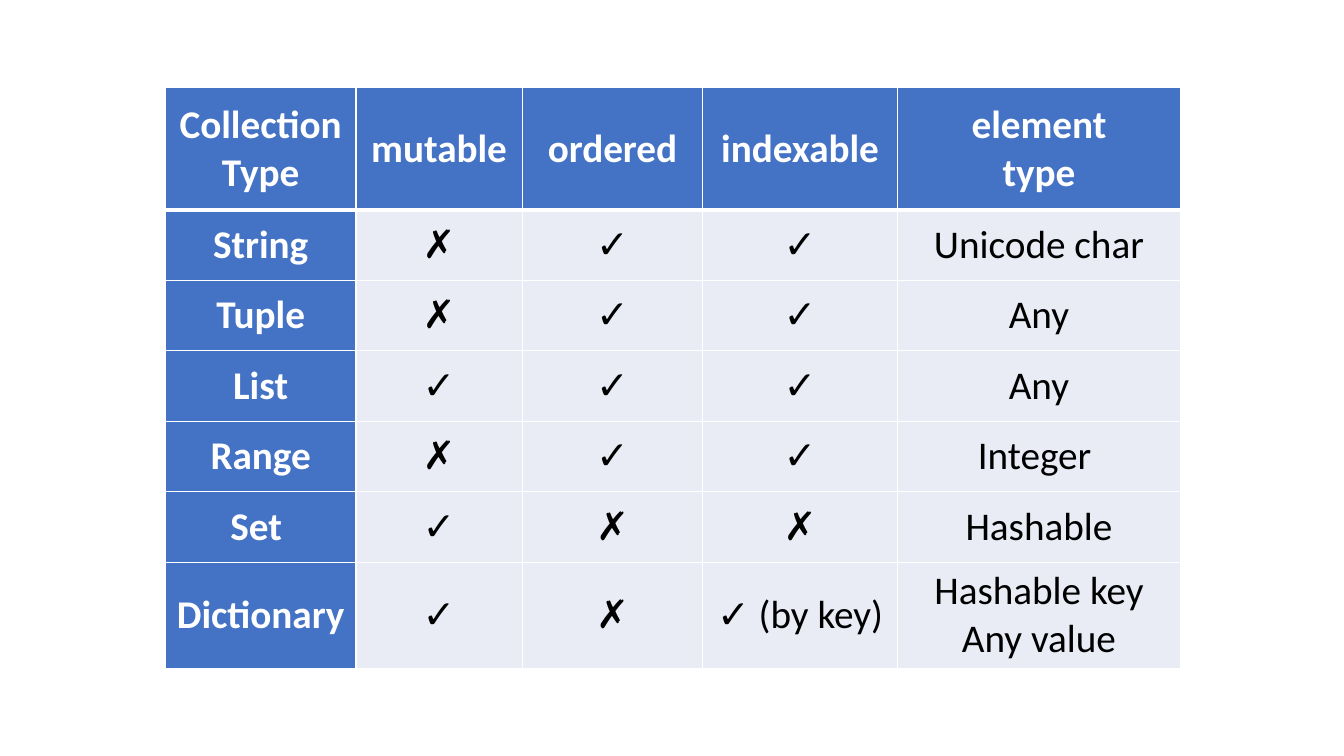
"""Build a slide comparing Python collection types in a table."""
import dataclasses

import lxml.etree
import pptx
import pptx.dml.color
import pptx.enum.text
import pptx.oxml.ns
import pptx.table
import pptx.util

Inches = pptx.util.Inches
YES, NO = "✓", "✗"
WHITE, BLACK, BLUE, PALE = "FFFFFF", "000000", "4472C4", "E9EBF5"
COLUMN_WIDTHS = [1.89, 1.65, 1.79, 1.93, 2.81]
ROW_HEIGHTS = [1.21] + [0.7] * 5 + [1.04]


@dataclasses.dataclass(frozen=True)
class Collection:
    name: str
    mutable: str
    ordered: str
    indexable: str
    element_type: str


@dataclasses.dataclass(frozen=True)
class CellStyle:
    fill: str
    text: str
    bold: bool


HEADING = CellStyle(BLUE, WHITE, True)
BODY = CellStyle(PALE, BLACK, False)
COLLECTIONS = [
    Collection("Collection\nType", "mutable", "ordered", "indexable", "element\ntype"),
    Collection("String", NO, YES, YES, "Unicode char"),
    Collection("Tuple", NO, YES, YES, "Any"),
    Collection("List", YES, YES, YES, "Any"),
    Collection("Range", NO, YES, YES, "Integer "),
    Collection("Set ", YES, NO, NO, "Hashable"),
    Collection("Dictionary", YES, NO, f"{YES} (by key)", "Hashable key\nAny value"),
]


def rgb(value: str) -> pptx.dml.color.RGBColor:
    return pptx.dml.color.RGBColor.from_string(value)


def add_borders(cell: pptx.table._Cell, widths: dict[str, float]) -> None:
    properties = cell._tc.get_or_add_tcPr()
    qn = pptx.oxml.ns.qn
    for position, (side, width) in enumerate(widths.items()):
        border = lxml.etree.Element(qn(f"a:{side}"), w=str(pptx.util.Pt(width)))
        fill = lxml.etree.SubElement(border, qn("a:solidFill"))
        lxml.etree.SubElement(fill, qn("a:srgbClr"), val=WHITE)
        properties.insert(position, border)


def fill_cell(cell: pptx.table._Cell, text: str, style: CellStyle) -> None:
    cell.text = text
    cell.vertical_anchor = pptx.enum.text.MSO_ANCHOR.MIDDLE
    cell.fill.solid()
    cell.fill.fore_color.rgb = rgb(style.fill)
    for paragraph in cell.text_frame.paragraphs:
        paragraph.alignment = pptx.enum.text.PP_ALIGN.CENTER
        paragraph.font.name = "Calibri"
        paragraph.font.size = pptx.util.Pt(28)
        paragraph.font.bold = style.bold
        paragraph.font.color.rgb = rgb(style.text)


presentation = pptx.Presentation()
presentation.slide_width = Inches(13.33)
presentation.slide_height = Inches(7.5)
slide = presentation.slides.add_slide(presentation.slide_layouts[6])

comparison = slide.shapes.add_table(
    len(ROW_HEIGHTS), len(COLUMN_WIDTHS), Inches(1.64), Inches(0.87),
    Inches(sum(COLUMN_WIDTHS)), Inches(sum(ROW_HEIGHTS)),
).table
comparison.first_col = True
comparison.horz_banding = False
for column, width in zip(comparison.columns, COLUMN_WIDTHS):
    column.width = Inches(width)
for row, height in zip(comparison.rows, ROW_HEIGHTS):
    row.height = Inches(height)

for row_index, collection in enumerate(COLLECTIONS):
    for column_index, value in enumerate(dataclasses.astuple(collection)):
        cell = comparison.cell(row_index, column_index)
        is_heading = row_index == 0 or column_index == 0
        fill_cell(cell, value, HEADING if is_heading else BODY)
        add_borders(cell, {
            "lnL": 1,
            "lnR": 1,
            "lnT": 3 if row_index == 1 else 1,
            "lnB": 3 if row_index == 0 else 1,
        })

presentation.save("out.pptx")
